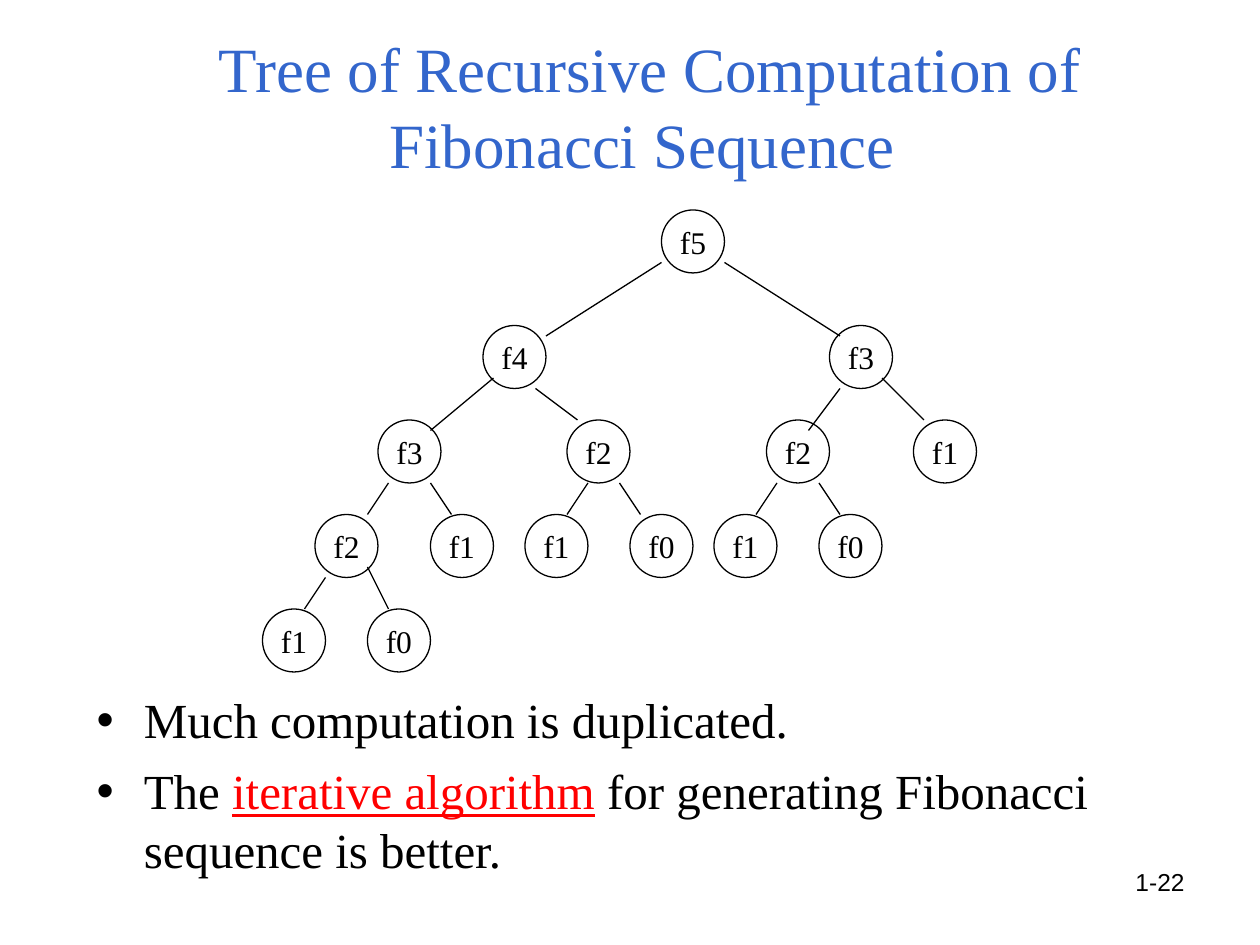
from dataclasses import dataclass

from lxml import etree
from pptx import Presentation
from pptx.dml.color import RGBColor
from pptx.enum.shapes import MSO_CONNECTOR, MSO_SHAPE
from pptx.enum.text import MSO_ANCHOR, MSO_AUTO_SIZE, PP_ALIGN
from pptx.oxml.ns import qn
from pptx.util import Emu, Pt

LINE = MSO_CONNECTOR.STRAIGHT
ELLIPSE = MSO_SHAPE.OVAL
CENTER, RIGHT = PP_ALIGN.CENTER, PP_ALIGN.RIGHT
TOP, MIDDLE = MSO_ANCHOR.TOP, MSO_ANCHOR.MIDDLE
NO_FIT = MSO_AUTO_SIZE.NONE

PX = 7620  # EMU per px, 120 px to the inch
NODE = 60  # diameter of a tree node


@dataclass(frozen=True)
class Theme:
    serif: str = "Times New Roman"
    sans: str = "Arial"
    title: str = "3366CC"
    ink: str = "000000"
    accent: str = "FF0000"
    title_size: int = 36
    body_size: int = 28
    node_size: int = 18
    number_size: int = 14
    line_width: float = 0.75
    item_gap: int = 7
    indent: int = 45


def px(*values):
    return [Emu(v * PX) for v in values]


class SlideBuilder:
    def __init__(self, slide, theme):
        self.slide = slide
        self.theme = theme

    def style(self, r, size, color, font=None):
        r.font.size = Pt(size)
        r.font.name = font or self.theme.serif
        r.font.color.rgb = RGBColor.from_string(color)

    def place(self, sp, box):
        sp.left, sp.top, sp.width, sp.height = px(*box)

    def title(self, text, box):
        t, sp = self.theme, self.slide.shapes.title
        self.place(sp, box)
        tf = sp.text_frame
        tf.text = text
        tf.auto_size = NO_FIT
        tf.vertical_anchor = MIDDLE
        p = tf.paragraphs[0]
        p.alignment = CENTER
        self.style(p.runs[0], t.title_size, t.title)

    def bullets(self, items, box):
        """Each item is a list of (text, is_key_term) parts."""
        t, sp = self.theme, self.slide.placeholders[1]
        self.place(sp, box)
        tf = sp.text_frame
        tf.auto_size = NO_FIT
        tf.vertical_anchor = TOP
        for i, parts in enumerate(items):
            p = tf.add_paragraph() if i else tf.paragraphs[0]
            self.bullet(p)
            p.space_before = Pt(t.item_gap if i else 0)
            for text, is_key in parts:
                r = p.add_run()
                r.text = text
                self.style(r, t.body_size, t.accent if is_key else t.ink)
                r.font.underline = is_key

    def bullet(self, p):
        indent = self.theme.indent * PX
        pPr = p._p.get_or_add_pPr()
        pPr.set("marL", str(indent))
        pPr.set("indent", str(-indent))
        color = etree.SubElement(pPr, qn("a:buClr"))
        etree.SubElement(color, qn("a:srgbClr"), val=self.theme.ink)
        etree.SubElement(pPr, qn("a:buChar"), char="•")

    def outline(self, line):
        line.color.rgb = RGBColor.from_string(self.theme.ink)
        line.width = Pt(self.theme.line_width)

    def node(self, text, x, y):
        t = self.theme
        sp = self.slide.shapes.add_shape(ELLIPSE, *px(x, y, NODE, NODE))
        sp.shadow.inherit = False
        sp.fill.background()
        self.outline(sp.line)
        tf = sp.text_frame
        tf.text = text
        tf.word_wrap = False
        tf.vertical_anchor = MIDDLE
        p = tf.paragraphs[0]
        p.alignment = CENTER
        self.style(p.runs[0], t.node_size, t.ink)

    def edge(self, x1, y1, x2, y2):
        cxn = self.slide.shapes.add_connector(LINE, *px(x1, y1, x2, y2))
        self.outline(cxn.line)
        etree.SubElement(cxn._element.spPr, qn("a:effectLst"))

    def page_number(self, text, box):
        t = self.theme
        tf = self.slide.shapes.add_textbox(*px(*box)).text_frame
        tf.word_wrap = True
        tf.text = text
        p = tf.paragraphs[0]
        p.alignment = RIGHT
        self.style(p.runs[0], t.number_size, t.ink, t.sans)


# Tree levels: top of the row, then label and left of each node
LEVELS = [
    (200, [("f5", 630)]),
    (310, [("f4", 460), ("f3", 790)]),
    (400, [("f3", 360), ("f2", 540), ("f2", 730), ("f1", 870)]),
    (490, [("f2", 300), ("f1", 410), ("f1", 500),
           ("f0", 600), ("f1", 680), ("f0", 780)]),
    (580, [("f1", 250), ("f0", 350)]),
]

# Edges from parent to child: x1, y1, x2, y2
EDGES = [
    (630, 250, 520, 320), (690, 250, 800, 320),
    (470, 360, 410, 410), (510, 370, 550, 400),
    (800, 370, 770, 410), (840, 360, 880, 400),
    (370, 460, 350, 490), (410, 460, 430, 490),
    (560, 460, 540, 490), (590, 460, 610, 490),
    (740, 460, 720, 490), (780, 460, 800, 490),
    (310, 550, 290, 580), (350, 540, 370, 580),
]

POINTS = [
    [("Much computation is duplicated.", False)],
    [("The ", False), ("iterative algorithm", True),
     (" for generating Fibonacci sequence is better.", False)],
]


def main():
    prs = Presentation()
    prs.slide_width, prs.slide_height = px(1200, 900)
    slide = prs.slides.add_slide(prs.slide_layouts[1])
    s = SlideBuilder(slide, Theme())

    # Title and conclusions
    s.title("Tree of Recursive Computation of Fibonacci Sequence ",
            (90, 40, 1058, 120))
    s.bullets(POINTS, (80, 651, 1026, 249))

    # Recursion tree
    for y, nodes in LEVELS:
        for label, x in nodes:
            s.node(label, x, y)
    for ends in EDGES:
        s.edge(*ends)

    # Footer
    s.page_number("1-22", (860, 820, 280, 62))

    prs.save("out.pptx")


if __name__ == "__main__":
    main()
